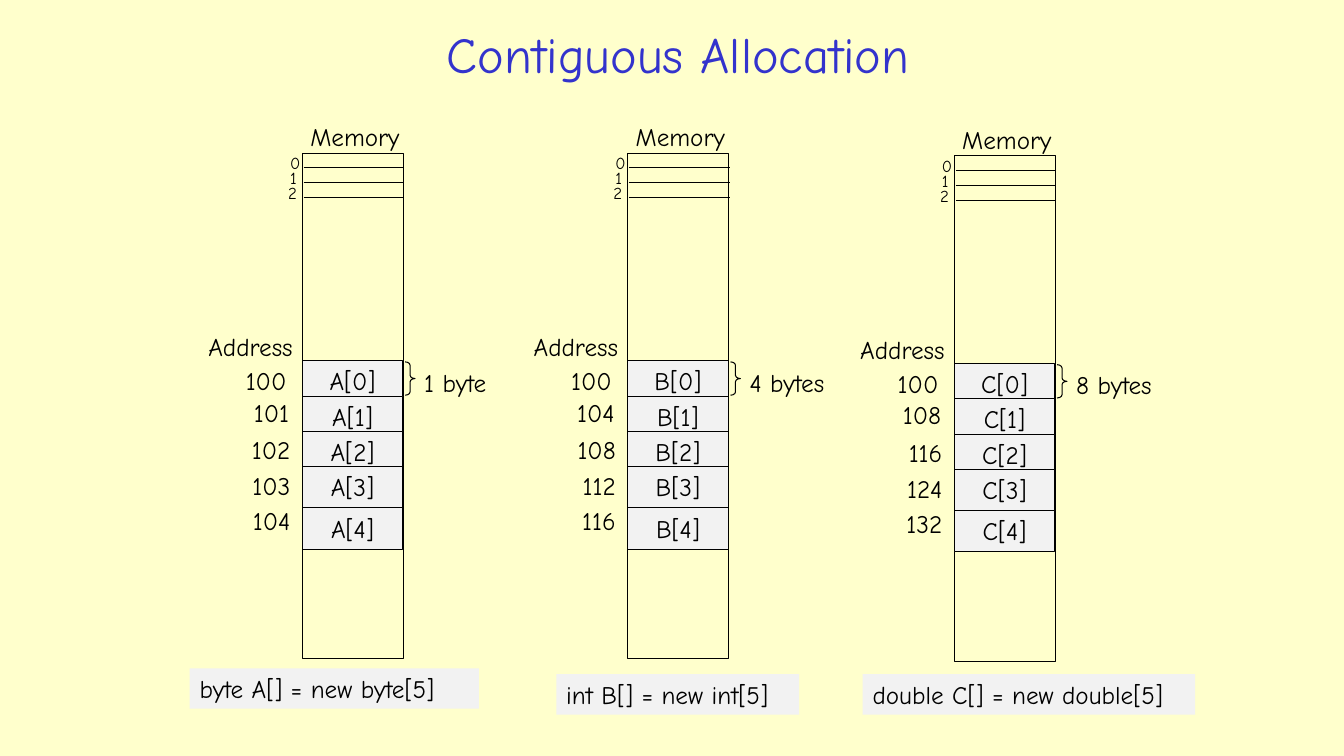
from lxml import etree
from pptx import Presentation
from pptx.dml.color import RGBColor
from pptx.enum.shapes import MSO_CONNECTOR as Connector, MSO_SHAPE as Shape
from pptx.enum.text import MSO_ANCHOR as Anchor, PP_ALIGN as Align
from pptx.oxml.ns import qn
from pptx.util import Cm, Pt

FONT = "Comic Neue"
BLACK = RGBColor(0x00, 0x00, 0x00)
BLUE = RGBColor(0x33, 0x33, 0xCC)
GREY = RGBColor(0xF2, 0xF2, 0xF2)
CREAM = RGBColor(0xFF, 0xFF, 0xCC)

TEXT_HEIGHT = 1.02
CELL_HEIGHT = 1.04
CELL_TOPS = (5.23, 6.12, 7.01, 7.9, 8.94)
ADDRESS_TOPS = (5.23, 6.02, 6.96, 7.87, 8.76)
ADDRESS_RIGHTS = (-0.15, -0.08, -0.05, -0.05, -0.05)
BYTE_LEFTS = (-0.56, -0.56, -0.61)
BYTE_STEP = 0.38

COLUMNS = (
    dict(name="A", left=7.62, top=3.86, size=1, unit="1 byte"),
    dict(name="B", left=15.82, top=3.86, size=4, unit="4 bytes"),
    dict(name="C", left=24.05, top=3.93, size=8, unit="8 bytes"),
)
DECLARATIONS = (
    ("byte A[] = new byte[5]", 4.78, 16.84, 7.29),
    ("int B[] = new int[5]", 14.02, 16.99, 6.12),
    ("double C[] = new double[5]", 21.74, 16.99, 8.38),
)


def write(box, text, size=18, color=BLACK, align=Align.LEFT, anchor=Anchor.TOP, wrap=False):
    frame = box.text_frame
    frame.word_wrap = wrap
    frame.vertical_anchor = anchor
    para = frame.paragraphs[0]
    para.alignment = align
    span = para.add_run()
    span.text = text
    span.font.name = FONT
    span.font.size = Pt(size)
    span.font.color.rgb = color


def add_label(parent, text, left, top, width, height=TEXT_HEIGHT, **text_format):
    box = parent.shapes.add_textbox(Cm(left), Cm(top), Cm(width), Cm(height))
    write(box, text, **text_format)


def add_outline(parent, kind, left, top, width, height, fill=None, line=BLACK):
    box = parent.shapes.add_shape(kind, Cm(left), Cm(top), Cm(width), Cm(height))
    box.shadow.inherit = False
    if fill is None:
        box.fill.background()
    else:
        box.fill.solid()
        box.fill.fore_color.rgb = fill
    if line is None:
        box.line.fill.background()
    else:
        box.line.color.rgb = line
        box.line.width = Pt(0.75)
    return box


def add_rule(parent, left, top, width):
    rule = parent.shapes.add_connector(
        Connector.STRAIGHT, Cm(left), Cm(top), Cm(left + width), Cm(top))
    rule.line.color.rgb = BLACK
    rule.line.width = Pt(0.75)
    etree.SubElement(rule._element.spPr, qn("a:effectLst"))


def add_memory(page, name, left, top, size, unit):
    group = page.shapes.add_group_shape()
    add_outline(group, Shape.RECTANGLE, left, top, 2.54, 12.73)
    add_label(group, "Memory", left - 0.05, top - 0.92, 2.92)

    for index, offset in enumerate(BYTE_LEFTS):
        shift = index * BYTE_STEP
        add_label(group, str(index), left + offset, top - 0.13 + shift, 0.79, 0.76, size=12)
        add_rule(group, left + 0.03, top + 0.36 + shift, 2.54)

    add_label(group, "Address", left - 2.62, top + 4.37, 3.02)
    for index, cell_top in enumerate(CELL_TOPS):
        cell = add_outline(group, Shape.RECTANGLE, left, top + cell_top,
                           2.53, CELL_HEIGHT, fill=GREY)
        write(cell, f"{name}[{index}]", align=Align.CENTER, wrap=True)
        add_label(group, str(100 + index * size), left + ADDRESS_RIGHTS[index] - 1.57,
                  top + ADDRESS_TOPS[index], 1.57, align=Align.RIGHT)

    brace = add_outline(group, Shape.RIGHT_BRACE, left + 2.59, top + 5.26, 0.25, 0.84)
    brace.adjustments[0] = 0.33
    add_label(group, unit, left + 2.82, top + 5.26, 2.77)


def main():
    deck = Presentation()
    deck.slide_width, deck.slide_height = Cm(33.87), Cm(19.05)
    page = deck.slides.add_slide(deck.slide_layouts[6])
    page.background.fill.solid()
    page.background.fill.fore_color.rgb = CREAM

    add_label(page, "Contiguous Allocation", 5, 0.38, 24.18, 1.93,
              size=36, color=BLUE, align=Align.CENTER, anchor=Anchor.MIDDLE, wrap=True)
    for column in COLUMNS:
        add_memory(page, **column)
    for text, left, top, width in DECLARATIONS:
        box = add_outline(page, Shape.RECTANGLE, left, top, width, TEXT_HEIGHT,
                          fill=GREY, line=None)
        write(box, text)
    deck.save("out.pptx")


if __name__ == "__main__":
    main()
